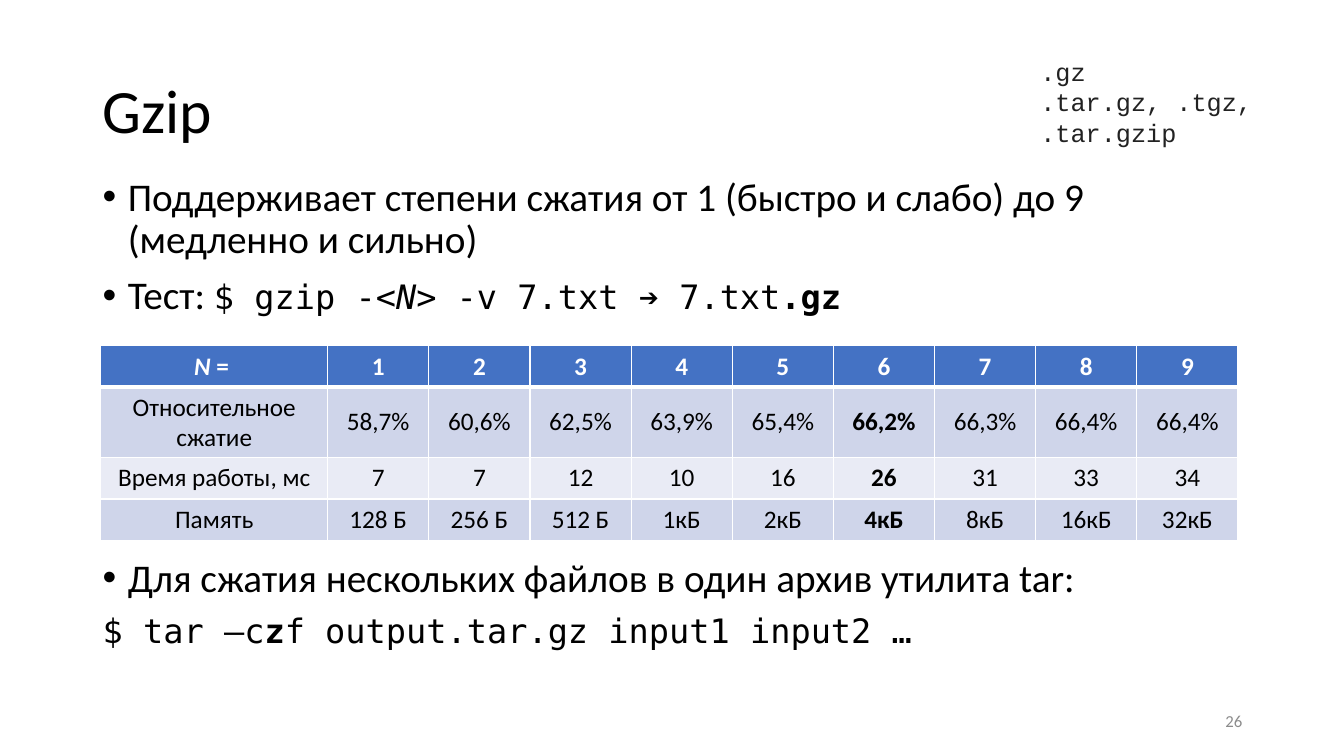
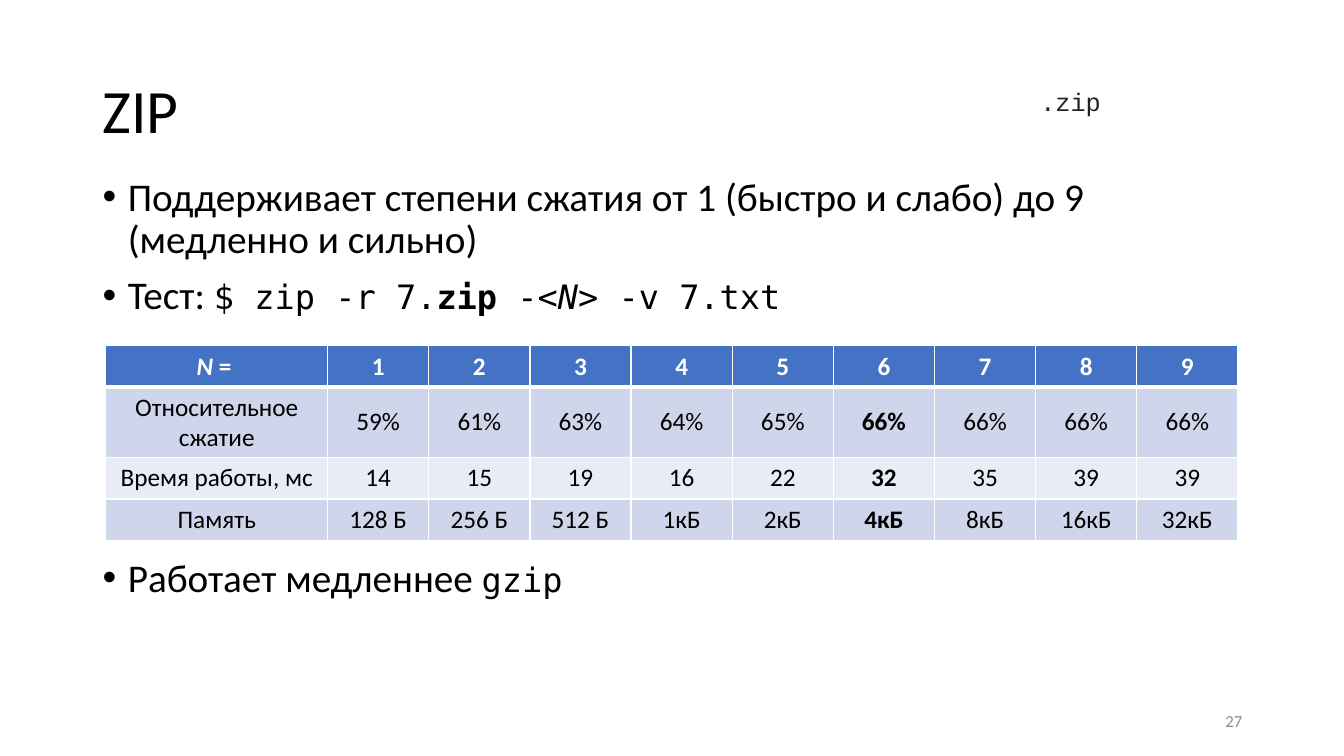
"""Build two slides comparing the compression levels of gzip and ZIP."""
from lxml.etree import SubElement
from pptx import Presentation
from pptx.dml.color import RGBColor
from pptx.enum.text import MSO_ANCHOR as Anchor, PP_ALIGN as Align
from pptx.oxml.ns import qn
from pptx.util import Inches, Pt

SANS, MONO, COURIER = "Calibri", "DejaVu Sans Mono", "Courier New"
BLACK, WHITE, DARK, GREY = "000000", "FFFFFF", "222222", "8C8C8C"
HEADER, BANDS = "4472C4", ("CFD5EA", "E9EBF5")

CODE = {"font": MONO, "size": 24}
CODE_BOLD = {**CODE, "bold": True}
CODE_ITALIC = {**CODE, "italic": True}

LEVELS = [str(level) for level in range(1, 10)]
DEFAULT_LEVEL = "6"
MEMORY = ["128 Б", "256 Б", "512 Б", "1кБ", "2кБ", "4кБ", "8кБ", "16кБ", "32кБ"]
INTRO = [("Поддерживает степени сжатия от 1 (быстро и слабо) до 9 (медленно и сильно)", {})]

SLIDES = [
    {
        "title": "Gzip",
        "number": "26",
        "extensions": [".gz", ".tar.gz, .tgz,", ".tar.gzip"],
        "test": [("Тест: ", {}), ("$ gzip -", CODE), ("<N>", CODE_ITALIC),
                 (" -v 7.txt ➔ 7.txt", CODE), (".gz", CODE_BOLD)],
        "ratios": ["58,7%", "60,6%", "62,5%", "63,9%", "65,4%", "66,2%", "66,3%", "66,4%", "66,4%"],
        "times": [7, 7, 12, 10, 16, 26, 31, 33, 34],
        "table_left": 1,
        "note": [("Для сжатия нескольких файлов в один архив утилита tar:", {})],
        "command": [("$ tar –c", CODE), ("z", CODE_BOLD),
                    ("f output.tar.gz input1 input2 …", CODE)],
    },
    {
        "title": "ZIP",
        "number": "27",
        "extensions": [".zip"],
        "test": [("Тест: ", {}), ("$ zip -r 7.", CODE), ("zip", CODE_BOLD), (" -", CODE),
                 ("<N>", CODE_ITALIC), (" -v 7.txt", CODE)],
        "ratios": ["59%", "61%", "63%", "64%", "65%", "66%", "66%", "66%", "66%"],
        "times": [14, 15, 19, 16, 22, 32, 35, 39, 39],
        "table_left": 1.05,
        "note": [("Работает медленнее ", {}), ("gzip", CODE)],
        "command": None,
    },
]

MARGIN, CONTENT_WIDTH = 0.92, 11.5
TABLE_TOP, TABLE_RIGHT, LEVELS_WIDTH = 3.43, 12.28, 9.03
ROW_HEIGHTS = [0.41, 0.7, 0.41, 0.41]


def color(value):
    return RGBColor.from_string(value)


def add_span(para, text, font=SANS, size=28, fill=BLACK, bold=False, italic=False):
    span = para.add_run()
    span.text = text
    span.font.name, span.font.size = font, Pt(size)
    span.font.bold, span.font.italic = bold, italic
    span.font.color.rgb = color(fill)


def add_box(page, left, top, width, height, anchor=Anchor.MIDDLE):
    box = page.shapes.add_textbox(*map(Inches, (left, top, width, height)))
    box.text_frame.word_wrap = True
    box.text_frame.vertical_anchor = anchor
    return box


def add_lines(box, lines, align=Align.LEFT, spacing=1.0, **style):
    frame = box.text_frame
    for index, line in enumerate(lines):
        para = frame.add_paragraph() if index else frame.paragraphs[0]
        para.alignment, para.line_spacing = align, spacing
        add_span(para, line, **style)


def add_body(page, top, height, items):
    frame = add_box(page, MARGIN, top, CONTENT_WIDTH, height, Anchor.TOP).text_frame
    for index, (spans, bulleted) in enumerate(items):
        para = frame.add_paragraph() if index else frame.paragraphs[0]
        para.line_spacing, para.space_before = 0.9, Pt(10)
        if bulleted:
            props = para._p.get_or_add_pPr()
            props.set("marL", str(Inches(0.25)))
            props.set("indent", str(-Inches(0.25)))
            SubElement(props, qn("a:buFont"), typeface="Arial")
            SubElement(props, qn("a:buChar"), char="•")
        for text, style in spans:
            add_span(para, text, **style)


def set_borders(cell, **widths):
    props = cell._tc.get_or_add_tcPr()
    for side in "LRTB":
        line = SubElement(props, qn(f"a:ln{side}"), w=str(Pt(widths.get(side, 1))))
        fill = SubElement(line, qn("a:solidFill"))
        SubElement(fill, qn("a:srgbClr"), val=WHITE)


def add_level_table(page, left, ratios, times):
    rows = [["N =", *LEVELS], ["Относительное сжатие", *ratios],
            ["Время работы, мс", *times], ["Память", *MEMORY]]
    width = TABLE_RIGHT - left
    table = page.shapes.add_table(
        len(rows), len(rows[0]), Inches(left), Inches(TABLE_TOP),
        Inches(width), Inches(sum(ROW_HEIGHTS))).table
    for index, column in enumerate(table.columns):
        column.width = Inches(LEVELS_WIDTH / len(LEVELS) if index else width - LEVELS_WIDTH)
    for r, values in enumerate(rows):
        table.rows[r].height = Inches(ROW_HEIGHTS[r])
        is_header = r == 0
        for c, value in enumerate(values):
            cell = table.cell(r, c)
            set_borders(cell, B=3 if is_header else 1, T=3 if r == 1 else 1)
            cell.fill.solid()
            cell.fill.fore_color.rgb = color(HEADER if is_header else BANDS[(r - 1) % 2])
            cell.vertical_anchor = Anchor.MIDDLE
            para = cell.text_frame.paragraphs[0]
            para.alignment = Align.CENTER
            style = {"size": 18, "fill": WHITE if is_header else BLACK,
                     "bold": is_header or rows[0][c] == DEFAULT_LEVEL}
            if is_header and c == 0:
                add_span(para, "N ", italic=True, **style)
                add_span(para, "= ", **style)
            else:
                add_span(para, str(value), **style)


def add_extensions(page, extensions):
    height = 0.1 + 0.3 * len(extensions)
    box = add_box(page, 10.22, 1.01 - height / 2, 2.75, height)
    box.fill.solid()
    box.fill.fore_color.rgb = color(WHITE)
    add_lines(box, extensions, font=COURIER, size=18, fill=DARK)


def add_page(deck, content):
    page = deck.slides.add_slide(deck.slide_layouts[6])
    title = add_box(page, MARGIN, 0.4, CONTENT_WIDTH, 1.45)
    add_lines(title, [content["title"]], spacing=0.9, size=44)
    add_body(page, 1.71, 1.65, [(INTRO, True), (content["test"], True)])
    closing = [(content["note"], True)]
    if content["command"]:
        closing.append((content["command"], False))
    add_body(page, 5.49, 1.4, closing)
    number = add_box(page, 9.42, 6.95, 3, 0.4)
    add_lines(number, [content["number"]], Align.RIGHT, size=12, fill=GREY)
    add_level_table(page, content["table_left"], content["ratios"], content["times"])
    add_extensions(page, content["extensions"])


def main():
    deck = Presentation()
    deck.slide_width, deck.slide_height = Inches(13.33), Inches(7.5)
    for content in SLIDES:
        add_page(deck, content)
    deck.save("out.pptx")


if __name__ == "__main__":
    main()
